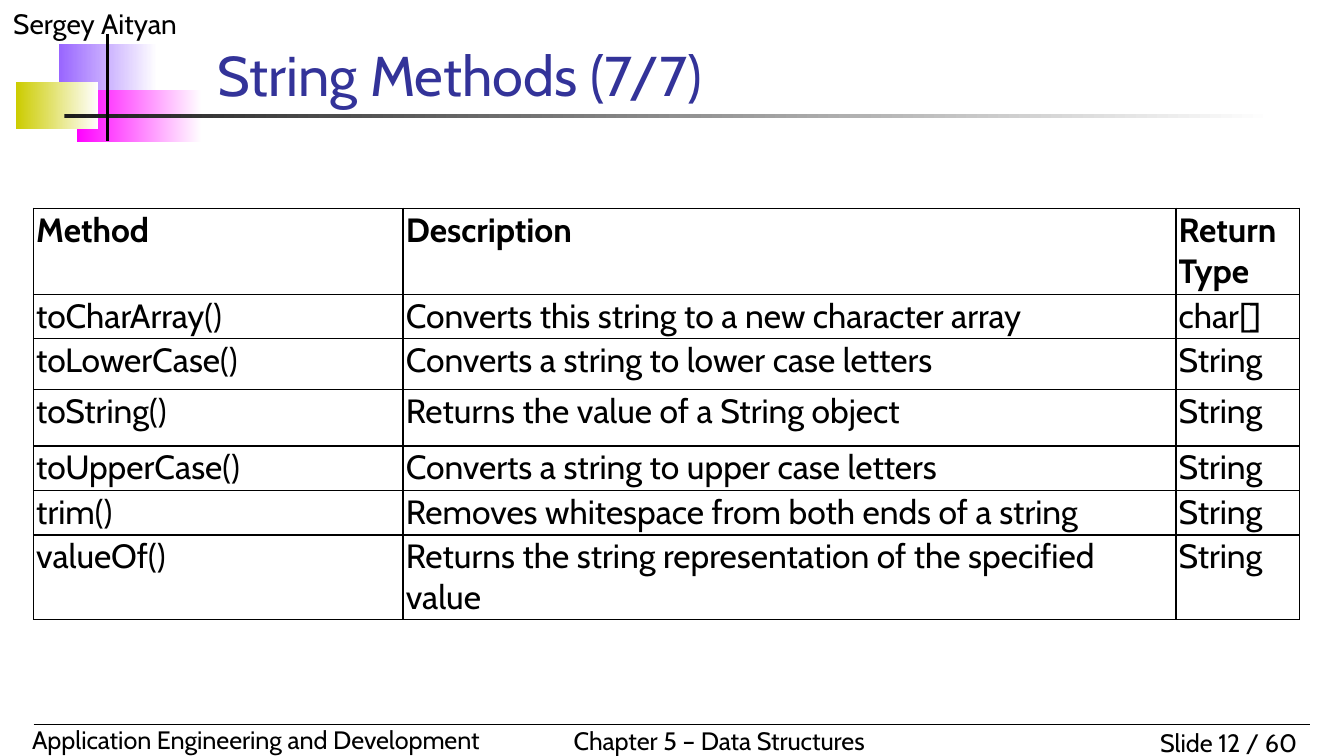
from dataclasses import dataclass
from typing import NamedTuple

from lxml.etree import SubElement
from pptx import Presentation
from pptx.dml.color import RGBColor
from pptx.enum.shapes import MSO_CONNECTOR, MSO_SHAPE
from pptx.enum.text import MSO_ANCHOR, PP_ALIGN
from pptx.oxml import parse_xml
from pptx.oxml.ns import nsdecls, qn
from pptx.util import Inches, Pt


@dataclass(frozen=True)
class Theme:
    font: str = "Cabin"
    ink: str = "000000"
    paper: str = "FFFFFF"
    title: str = "333399"
    violet: str = "9966FF"
    magenta: str = "FF00FF"
    olive: str = "CCCC00"
    rule: str = "1C1C1C"
    title_size: float = 30
    table_size: float = 18
    author_size: float = 15
    footer_size: float = 13.5
    border: float = 1


class Box(NamedTuple):
    left: float
    top: float
    width: float
    height: float


class Fade(NamedTuple):
    box: Box
    color: str


class Label(NamedTuple):
    text: str
    box: Box
    size: float
    align: PP_ALIGN = PP_ALIGN.LEFT
    wrap: bool = True


class Line(NamedTuple):
    x1: float
    y1: float
    x2: float
    y2: float
    width: float


class Method(NamedTuple):
    name: str
    description: str
    returns: str
    height: float


T = Theme()

FADES = [
    Fade(Box(0.44, 0.33, 0.73, 0.39), T.violet),
    Fade(Box(0.57, 0.67, 0.93, 0.39), T.magenta),
    Fade(Box(0.12, 0.61, 0.61, 0.35), T.olive),
    Fade(Box(0.48, 0.85, 9, 0.03), T.rule),
]
LABELS = [
    Label("Sergey Aityan", Box(0, 0, 2.5, 0.35), T.author_size),
    Label("Slide 12 / 60", Box(8.25, 5.36, 1.5, 0.33), T.footer_size, PP_ALIGN.RIGHT),
    Label("Application Engineering and Development", Box(0.14, 5.34, 3.7, 0.33), T.footer_size),
    Label("Chapter 5 – Data Structures", Box(4.17, 5.35, 2.54, 0.33), T.footer_size, wrap=False),
]
LINES = [Line(0.25, 5.39, 9.75, 5.39, 0.75), Line(0.8, 0.25, 0.8, 1.05, 2)]
COLUMNS = [2.75, 5.75, 0.92]
METHODS = [
    Method("Method", "Description", "Return Type", 0.64),
    Method("toCharArray()", "Converts this string to a new character array", "char[]", 0.33),
    Method("toLowerCase()", "Converts a string to lower case letters", "String", 0.38),
    Method("toString()", "Returns the value of a String object", "String", 0.42),
    Method("toUpperCase()", "Converts a string to upper case letters", "String", 0.33),
    Method("trim()", "Removes whitespace from both ends of a string", "String", 0.33),
    Method("valueOf()", "Returns the string representation of the specified value", "String", 0.63),
]


def rgb(color: str) -> RGBColor:
    return RGBColor.from_string(color)


def inches(box: Box) -> list:
    return [Inches(v) for v in box]


def add_run(p, text: str, size: float, color: str = T.ink, bold: bool = False) -> None:
    r = p.add_run()
    r.text = text
    r.font.name, r.font.size, r.font.bold = T.font, Pt(size), bold
    r.font.color.rgb = rgb(color)


def add_fade(s, fade: Fade) -> None:
    sp = s.shapes.add_shape(MSO_SHAPE.RECTANGLE, *inches(fade.box))
    sp.shadow.inherit = False
    sp.line.fill.background()
    sp.fill.gradient()
    sp.fill.gradient_angle = 0
    for stop, position, color in zip(sp.fill.gradient_stops, (0, 1), (fade.color, T.paper)):
        stop.position = position
        stop.color.rgb = rgb(color)


def add_label(s, label: Label) -> None:
    tf = s.shapes.add_textbox(*inches(label.box)).text_frame
    tf.word_wrap = label.wrap
    p = tf.paragraphs[0]
    p.alignment = label.align
    add_run(p, label.text, label.size)


def add_line(s, line: Line) -> None:
    ends = [Inches(v) for v in line[:4]]
    cn = s.shapes.add_connector(MSO_CONNECTOR.STRAIGHT, *ends)
    cn.line.width = Pt(line.width)
    cn.line.color.rgb = rgb(T.ink)
    SubElement(cn.element.spPr, qn("a:effectLst"))


def add_borders(cell) -> None:
    tc_pr = cell._tc.get_or_add_tcPr()
    for i, side in enumerate(("lnL", "lnR", "lnT", "lnB")):
        tc_pr.insert(i, parse_xml(
            f'<a:{side} {nsdecls("a")} w="{Pt(T.border)}"><a:solidFill>'
            f'<a:srgbClr val="{T.ink}"/></a:solidFill></a:{side}>'))


def fill_cell(cell, text: str, bold: bool) -> None:
    cell.fill.background()
    cell.margin_left = cell.margin_right = Inches(0.02)
    cell.margin_top = cell.margin_bottom = Inches(0.01)
    add_borders(cell)
    add_run(cell.text_frame.paragraphs[0], text, T.table_size, bold=bold)


def add_methods(s, left: float, top: float) -> None:
    box = Box(left, top, sum(COLUMNS), sum(m.height for m in METHODS))
    table = s.shapes.add_table(len(METHODS), len(COLUMNS), *inches(box)).table
    table.horz_banding = False
    table.first_row = False
    for column, width in zip(table.columns, COLUMNS):
        column.width = Inches(width)
    for i, (row, method) in enumerate(zip(table.rows, METHODS)):
        row.height = Inches(method.height)
        for cell, text in zip(row.cells, method[:3]):
            fill_cell(cell, text, bold=i == 0)


def set_title(s, text: str, box: Box) -> None:
    sp = s.shapes.title
    sp.left, sp.top, sp.width, sp.height = inches(box)
    tf = sp.text_frame
    tf.word_wrap = True
    tf.vertical_anchor = MSO_ANCHOR.BOTTOM
    p = tf.paragraphs[0]
    p.alignment = PP_ALIGN.LEFT
    add_run(p, text, T.title_size, T.title)


def main() -> None:
    prs = Presentation()
    prs.slide_width = Inches(10)
    prs.slide_height = prs.slide_width * 9 // 16
    s = prs.slides.add_slide(prs.slide_layouts[5])  # Title Only

    # Corner ornament, header and footer
    for fade in FADES:
        add_fade(s, fade)
    for label in LABELS:
        add_label(s, label)
    for line in LINES:
        add_line(s, line)

    # Title and table of methods
    set_title(s, "String Methods (7/7)", Box(1.52, 0.31, 7.35, 0.54))
    add_methods(s, 0.25, 1.55)

    prs.save("out.pptx")


if __name__ == "__main__":
    main()
